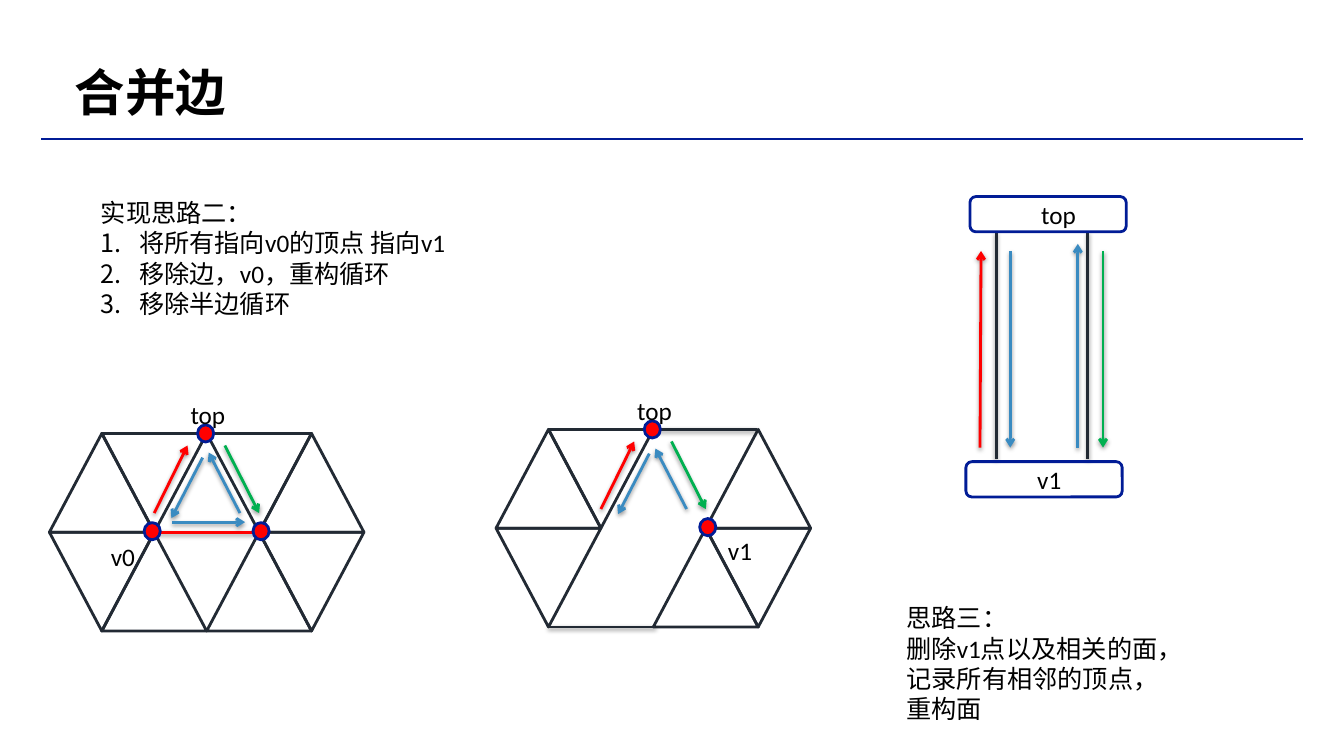
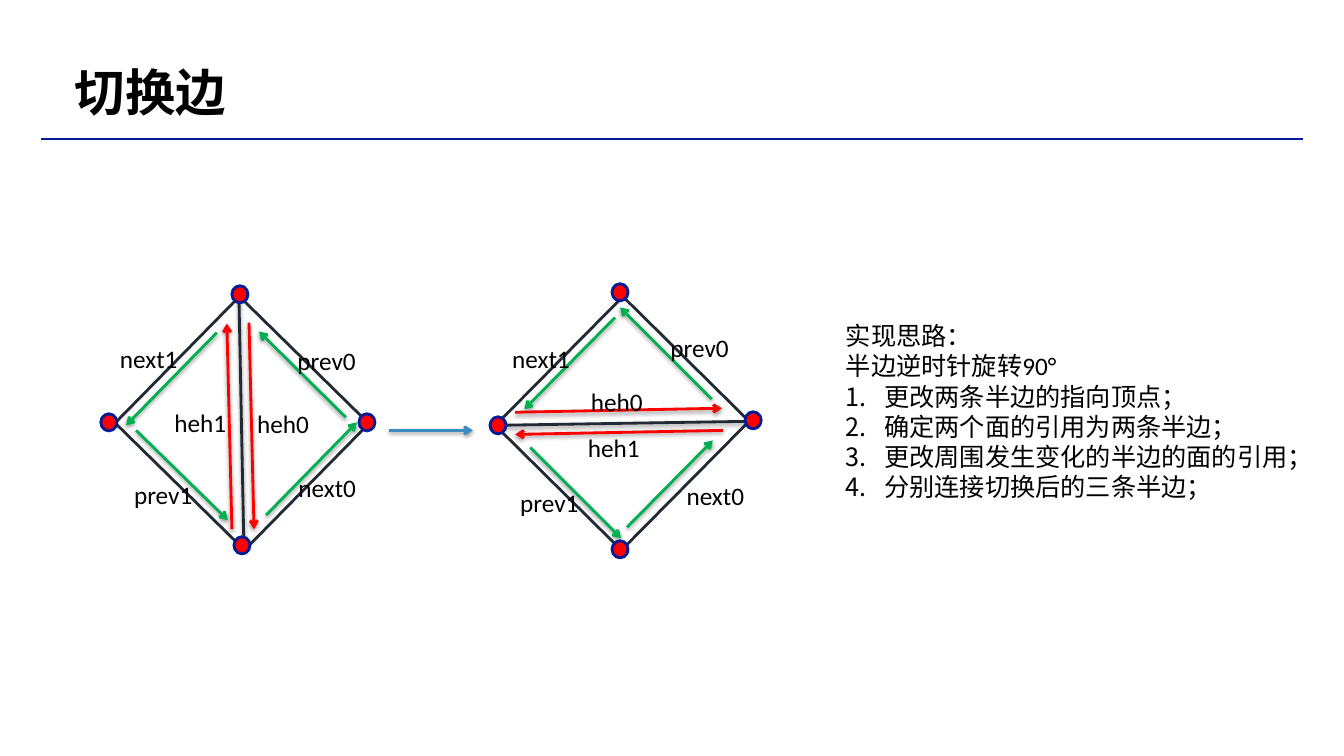
"""Build two slides on merging and flipping mesh edges."""
from dataclasses import dataclass

from lxml import etree
from pptx import Presentation
from pptx.dml.color import RGBColor
from pptx.enum.shapes import MSO_CONNECTOR, MSO_SHAPE
from pptx.enum.text import MSO_ANCHOR, MSO_AUTO_SIZE, PP_ALIGN
from pptx.oxml.ns import qn
from pptx.util import Inches, Pt

STRAIGHT = MSO_CONNECTOR.STRAIGHT
TRIANGLE = MSO_SHAPE.ISOSCELES_TRIANGLE
RECTANGLE = MSO_SHAPE.RECTANGLE
ROUNDED = MSO_SHAPE.ROUNDED_RECTANGLE
OVAL = MSO_SHAPE.OVAL
TOP, MIDDLE = MSO_ANCHOR.TOP, MSO_ANCHOR.MIDDLE
LEFT = PP_ALIGN.LEFT
GROW, FIXED = MSO_AUTO_SIZE.SHAPE_TO_FIT_TEXT, MSO_AUTO_SIZE.NONE


@dataclass(frozen=True)
class Theme:
    """Colours, type and line sizes of the deck."""
    font: str = "Calibri"
    title_size: float = 36
    body_size: float = 18
    stroke: float = 2
    rule_stroke: float = 1.5
    inset: float = 0.05
    indent: float = 0.38
    text: str = "000000"
    navy: str = "011C96"
    mesh: str = "222A34"
    red: str = "FF0000"
    green: str = "00B050"
    blue: str = "3A8BC1"


THEME = Theme()
CELL_WIDTH, CELL_HEIGHT = 1.04, 0.98
DOT_WIDTH, DOT_HEIGHT = 0.16, 0.17
LABEL_HEIGHT = 0.4


def rgb(value):
    """Turn a hex string into a colour."""
    return RGBColor.from_string(value)


def write(shape, lines, size=THEME.body_size, bold=False, numbered_from=None,
          anchor=TOP, left_inset=THEME.inset, fit=GROW):
    """Write lines into a shape, numbering them from a given line on."""
    frame = shape.text_frame
    frame.word_wrap = True
    frame.auto_size = fit
    frame.vertical_anchor = anchor
    frame.margin_left = Inches(left_inset)
    frame.margin_top = frame.margin_right = frame.margin_bottom = Inches(THEME.inset)
    for index, line in enumerate(lines):
        paragraph = frame.add_paragraph() if index else frame.paragraphs[0]
        paragraph.alignment = LEFT
        if numbered_from is not None and index >= numbered_from:
            properties = paragraph._p.get_or_add_pPr()
            properties.set("marL", str(Inches(THEME.indent)))
            properties.set("indent", str(-Inches(THEME.indent)))
            etree.SubElement(properties, qn("a:buAutoNum"), type="arabicPeriod")
        run = paragraph.add_run()
        run.text = line
        run.font.name = THEME.font
        run.font.size = Pt(size)
        run.font.bold = bold
        run.font.color.rgb = rgb(THEME.text)


def add_text(slide, left, top, width, height, lines, **text_format):
    """Place a text box."""
    box = slide.shapes.add_textbox(*map(Inches, (left, top, width, height)))
    write(box, lines, **text_format)


def add_label(slide, left, top, width, label):
    """Place a one-line label."""
    add_text(slide, left, top, width, LABEL_HEIGHT, [label])


def add_outline(slide, kind, left, top, width, height, color, fill=None, rotation=0):
    """Draw a preset shape with an outline and an optional fill."""
    shape = slide.shapes.add_shape(kind, *map(Inches, (left, top, width, height)))
    shape.shadow.inherit = False
    shape.rotation = rotation
    shape.line.color.rgb = rgb(color)
    shape.line.width = Pt(THEME.stroke)
    if fill:
        shape.fill.solid()
        shape.fill.fore_color.rgb = rgb(fill)
    else:
        shape.fill.background()
    return shape


def add_vertex(slide, center_x, center_y):
    """Mark a mesh vertex."""
    add_outline(slide, OVAL, center_x - DOT_WIDTH / 2, center_y - DOT_HEIGHT / 2,
                DOT_WIDTH, DOT_HEIGHT, THEME.navy, fill=THEME.red)


def add_line(slide, start, end, color, width=THEME.stroke, arrow=False, shadow=True):
    """Draw a straight line, with an arrowhead or a soft shadow on request."""
    line = slide.shapes.add_connector(STRAIGHT, *map(Inches, (*start, *end)))
    line.line.color.rgb = rgb(color)
    line.line.width = Pt(width)
    properties = line.element.spPr
    if arrow:
        etree.SubElement(properties.find(qn("a:ln")), qn("a:tailEnd"), type="arrow")
    effects = etree.SubElement(properties, qn("a:effectLst"))
    if shadow:
        outer = etree.SubElement(effects, qn("a:outerShdw"), blurRad=str(Pt(3)),
                                 dist=str(Pt(1.6)), dir="5400000", rotWithShape="0")
        black = etree.SubElement(outer, qn("a:srgbClr"), val="000000")
        etree.SubElement(black, qn("a:alpha"), val="38000")


def add_half_edges(slide, color, *half_edges):
    """Draw arrows of one colour, each given as x1, y1, x2, y2."""
    for x1, y1, x2, y2 in half_edges:
        add_line(slide, (x1, y1), (x2, y2), color, arrow=True)


def add_titled_slide(deck, title):
    """Add a slide with the shared title and rule."""
    slide = deck.slides.add_slide(deck.slide_layouts[6])
    add_line(slide, (0.41, 1.38), (12.92, 1.38), THEME.navy,
             width=THEME.rule_stroke, shadow=False)
    add_text(slide, 0.69, 0.58, 7.63, 0.66, [title], size=THEME.title_size,
             bold=True, anchor=MIDDLE, fit=FIXED)
    return slide


def add_mesh(slide, left, top, rows, edges, next_edges, vertices, labels):
    """Draw a hexagonal patch whose parts are offsets from its top left corner."""
    def at(x, y):
        """Shift an offset to its place on the slide."""
        return left + x, top + y

    for row, columns in enumerate(rows):
        for column in columns:
            points_down = (row + column) % 2
            add_outline(slide, TRIANGLE,
                        *at(column * CELL_WIDTH / 2, row * CELL_HEIGHT),
                        CELL_WIDTH, CELL_HEIGHT, THEME.mesh,
                        rotation=180 * points_down)
    for color, x1, y1, x2, y2 in edges:
        add_line(slide, at(x1, y1), at(x2, y2), color)
    shared_half_edges = [
        (THEME.blue, 1.89, 0.79, 1.58, 0.19),
        (THEME.blue, 1.52, 0.24, 1.21, 0.84),
        (THEME.green, 1.74, 0.12, 2.08, 0.79),
        (THEME.red, 1.04, 0.79, 1.37, 0.12),
    ]
    for color, x1, y1, x2, y2 in shared_half_edges + next_edges:
        add_half_edges(slide, color, (*at(x1, y1), *at(x2, y2)))
    for x, y in [(1.55, 0)] + vertices:
        add_vertex(slide, *at(x, y))
    for label, x, y, width in [("top", 1.35, -0.39, 0.53)] + labels:
        add_label(slide, *at(x, y), width, label)


def add_edge_pair(slide):
    """Draw the two edges left between top and v1 with their half-edges."""
    for x in (9.88, 10.79):
        add_line(slide, (x, 2.3), (x, 4.55), THEME.mesh)
    add_half_edges(slide, THEME.red, (9.72, 4.44, 9.73, 2.49))
    add_half_edges(slide, THEME.green, (10.94, 2.49, 10.94, 4.44))
    add_half_edges(slide, THEME.blue, (10.02, 2.49, 10.02, 4.44),
                   (10.69, 4.44, 10.69, 2.42))
    for label, left, top in (("top", 9.62, 1.95), ("v1", 9.58, 4.58)):
        vertex_box = add_outline(slide, ROUNDED, left, top, 1.55, 0.35, THEME.navy)
        write(vertex_box, [label], anchor=MIDDLE, left_inset=0.69, fit=FIXED)


def add_diamond(slide, left, rotation, edge, inner, outer):
    """Draw two triangles that share an edge, with their half-edges."""
    add_outline(slide, RECTANGLE, left, 3.32, 1.8, 1.76, THEME.mesh, rotation=rotation)
    add_line(slide, *edge, THEME.mesh)
    add_half_edges(slide, THEME.red, *inner)
    add_half_edges(slide, THEME.green, *outer)


def build_merge_slide(deck):
    """Show how an edge is merged."""
    slide = add_titled_slide(deck, "合并边")
    add_mesh(
        slide, 0.49, 4.3, rows=[(0, 1, 3, 4), (0, 1, 3, 4)],
        edges=[(THEME.red, 1.04, 0.98, 2.08, 0.98)],
        next_edges=[(THEME.blue, 1.22, 0.88, 1.94, 0.88)],
        vertices=[(1.02, 0.97), (2.1, 0.97)],
        labels=[("v0", 0.56, 1.02, 0.4)])
    add_mesh(
        slide, 4.92, 4.26, rows=[(0, 1, 4), (0, 3, 4)],
        edges=[(THEME.mesh, 0.52, 1.96, 1.58, 1.96), (THEME.mesh, 2.59, 0, 1.56, 0)],
        next_edges=[],
        vertices=[(2.1, 0.97)],
        labels=[("v1", 2.25, 1, 0.4)])
    add_edge_pair(slide)
    add_text(slide, 0.95, 1.91, 4.68, 1.31,
             ["实现思路二：", "将所有指向v0的顶点 指向v1", "移除边，v0，重构循环", "移除半边循环"],
             numbered_from=1)
    add_text(slide, 8.94, 5.93, 3.24, 1.31,
             ["思路三：", "删除v1点以及相关的面，", "记录所有相邻的顶点，", "重构面"])


def build_flip_slide(deck):
    """Show how an edge is flipped."""
    slide = add_titled_slide(deck, "切换边")
    add_diamond(
        slide, 5.27, 134.7, edge=((7.42, 4.18), (4.91, 4.22)),
        inner=[(7.17, 4.27, 5.11, 4.31), (5.11, 4.09, 7.16, 4.05)],
        outer=[(7.06, 3.96, 6.15, 3.05), (6.1, 3.15, 5.2, 4.06),
               (5.26, 4.44, 6.16, 5.34), (6.22, 5.23, 7.07, 4.37)])
    add_diamond(
        slide, 1.5, 44.5, edge=((2.37, 2.94), (2.42, 5.46)),
        inner=[(2.47, 3.2, 2.52, 5.25), (2.3, 5.25, 2.25, 3.21)],
        outer=[(2.15, 3.3, 1.25, 4.22), (1.35, 4.27, 2.26, 5.16),
               (2.64, 5.11, 3.54, 4.19), (3.43, 4.14, 2.57, 3.29)])
    add_half_edges(slide, THEME.blue, (3.86, 4.27, 4.69, 4.27))
    add_text(slide, 8.34, 3.13, 4.9, 1.92,
             ["实现思路：", "半边逆时针旋转90°", "更改两条半边的指向顶点；",
              "确定两个面的引用为两条半边；", "更改周围发生变化的半边的面的引用；",
              "分别连接切换后的三条半边；"],
             numbered_from=2)
    label_places = {
        "heh0": [(2.5, 4), (5.81, 3.78)],
        "heh1": [(1.68, 3.99), (5.78, 4.24)],
        "prev0": [(2.9, 3.38), (6.6, 3.25)],
        "prev1": [(1.28, 4.71), (5.11, 4.79)],
        "next0": [(2.91, 4.64), (6.76, 4.72)],
        "next1": [(1.14, 3.36), (5.03, 3.36)],
    }
    for label, places in label_places.items():
        for left, top in places:
            add_label(slide, left, top, 0.79, label)
    for center in ((2.38, 2.92), (2.4, 5.41), (1.08, 4.19), (3.64, 4.19),
                   (6.15, 2.9), (6.15, 5.45), (4.94, 4.22), (7.47, 4.17)):
        add_vertex(slide, *center)


def main():
    """Build and save the deck."""
    deck = Presentation()
    deck.slide_width, deck.slide_height = Inches(13.33), Inches(7.5)
    build_merge_slide(deck)
    build_flip_slide(deck)
    deck.save("out.pptx")


if __name__ == "__main__":
    main()
